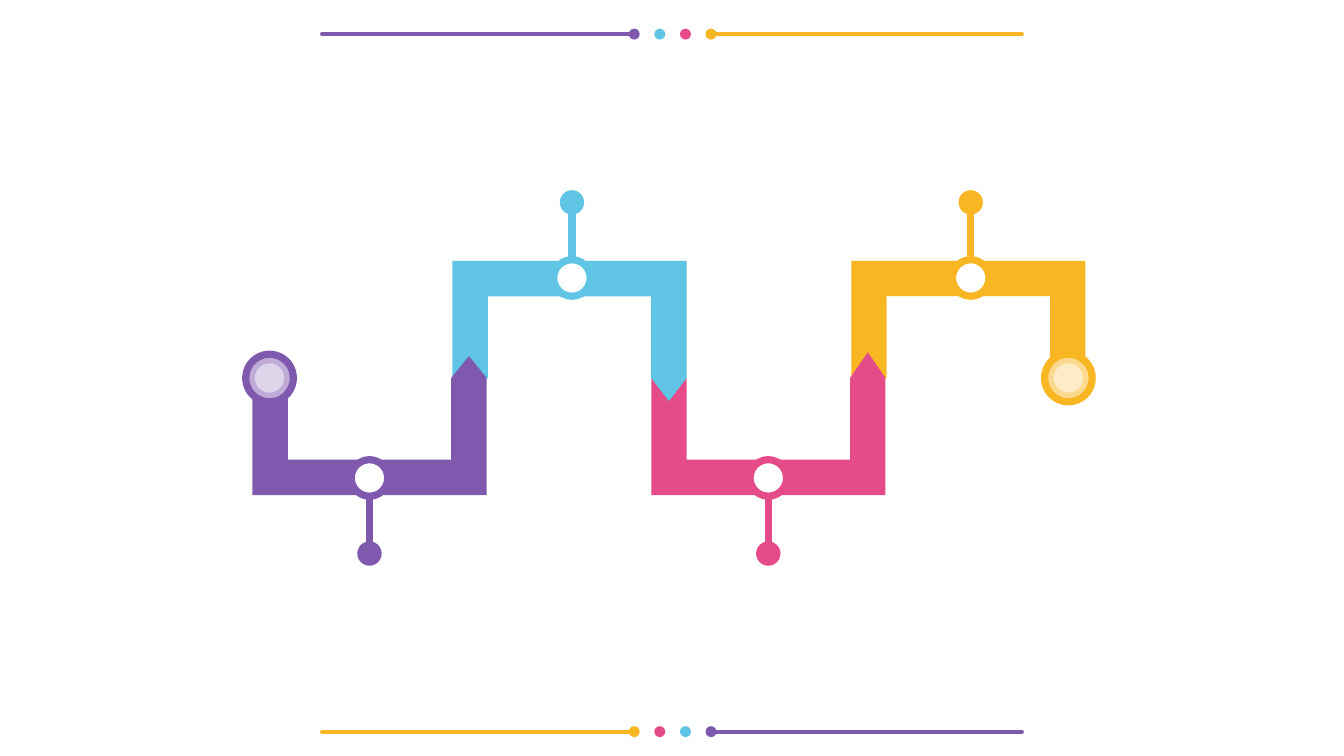
import pptx
import pptx.dml.color
import pptx.enum.shapes
import pptx.oxml
import pptx.oxml.ns
import pptx.util
from pptx.util import Inches

RGBColor = pptx.dml.color.RGBColor
PURPLE = RGBColor(0x7F, 0x59, 0xAE)
BLUE = RGBColor(0x60, 0xC4, 0xE4)
PINK = RGBColor(0xE5, 0x4B, 0x89)
GOLD = RGBColor(0xF8, 0xB6, 0x22)
WHITE = RGBColor(0xFF, 0xFF, 0xFF)

deck = pptx.Presentation()
deck.slide_width = Inches(11.02)
deck.slide_height = Inches(6.2)
slide = deck.slides.add_slide(deck.slide_layouts[6])
shapes = slide.shapes


def add_dot(x, y, size, fill, edge=None, alpha=None):
    """Draw a circle centred on x, y; alpha is its opacity in percent."""
    dot = shapes.add_shape(
        pptx.enum.shapes.MSO_SHAPE.OVAL,
        Inches(x - size / 2), Inches(y - size / 2), Inches(size), Inches(size))
    dot.shadow.inherit = False
    dot.fill.solid()
    dot.fill.fore_color.rgb = fill
    if edge is None:
        dot.line.fill.background()
    else:
        dot.line.color.rgb = edge
        dot.line.width = pptx.util.Pt(4.25)
    if alpha is not None:
        color = dot.fill._xPr.find(".//" + pptx.oxml.ns.qn("a:srgbClr"))
        color.append(pptx.oxml.parse_xml(
            f'<a:alpha {pptx.oxml.ns.nsdecls("a")} val="{alpha * 1000}"/>'))


def add_line(x1, y1, x2, y2, color, width):
    line = shapes.add_connector(
        pptx.enum.shapes.MSO_CONNECTOR.STRAIGHT,
        Inches(x1), Inches(y1), Inches(x2), Inches(y2))
    line.line.color.rgb = color
    line.line.width = pptx.util.Pt(width)
    line.line._ln.set("cap", "rnd")
    line._element.spPr.append(pptx.oxml.parse_xml(
        f'<a:effectLst {pptx.oxml.ns.nsdecls("a")}/>'))


# Top and bottom borders
COLORS = [PURPLE, BLUE, PINK, GOLD]
for y, colors in [(0.28, COLORS), (6, COLORS[::-1])]:
    add_line(2.64, y, 5.2, y, colors[0], 2.27)
    for i, color in enumerate(colors):
        add_dot(5.2 + i * 0.21, y, 0.09, color)
    add_line(5.83, y, 8.38, y, colors[3], 2.27)

# Winding road: side is 1 for a bend below the middle, -1 for one above
MID = 3.1
WIDTH = 1.92
BAND = 0.29
BENDS = [
    (6.98, 7.96, -1, 0, GOLD),
    (5.34, 6.3, 1, 0.21, PINK),
    (3.71, 4.69, -1, 0.19, BLUE),
    (2.07, 3.03, 1, 0.18, PURPLE),
]
for left, pin, side, tip, color in BENDS:
    outer = MID + side * 0.96
    inner = MID + side * 0.67
    right = left + WIDTH
    points = [
        (left, MID), (left, outer), (right, outer), (right, MID),
        (right - BAND / 2, MID - side * tip), (right - BAND, MID),
        (right - BAND, inner), (left + BAND, inner), (left + BAND, MID),
    ]
    points = [(Inches(x), Inches(y)) for x, y in points]
    pen = shapes.build_freeform(*points[0])
    pen.add_line_segments(points[1:], close=True)
    bend = pen.convert_to_shape()
    bend.shadow.inherit = False
    bend.fill.solid()
    bend.fill.fore_color.rgb = color
    bend.line.fill.background()

    end = MID + side * 1.44
    add_line(pin, outer, pin, end, color, 4.25)
    add_dot(pin, end, 0.2, color)
    add_dot(pin, MID + side * 0.82, 0.3, WHITE, edge=color)

# Start and finish
for x, color in [(2.21, PURPLE), (8.76, GOLD)]:
    add_dot(x, MID, 0.39, WHITE, edge=color)
    add_dot(x, MID, 0.39, color, alpha=50)
    add_dot(x, MID, 0.24, WHITE, alpha=50)

deck.save("out.pptx")
